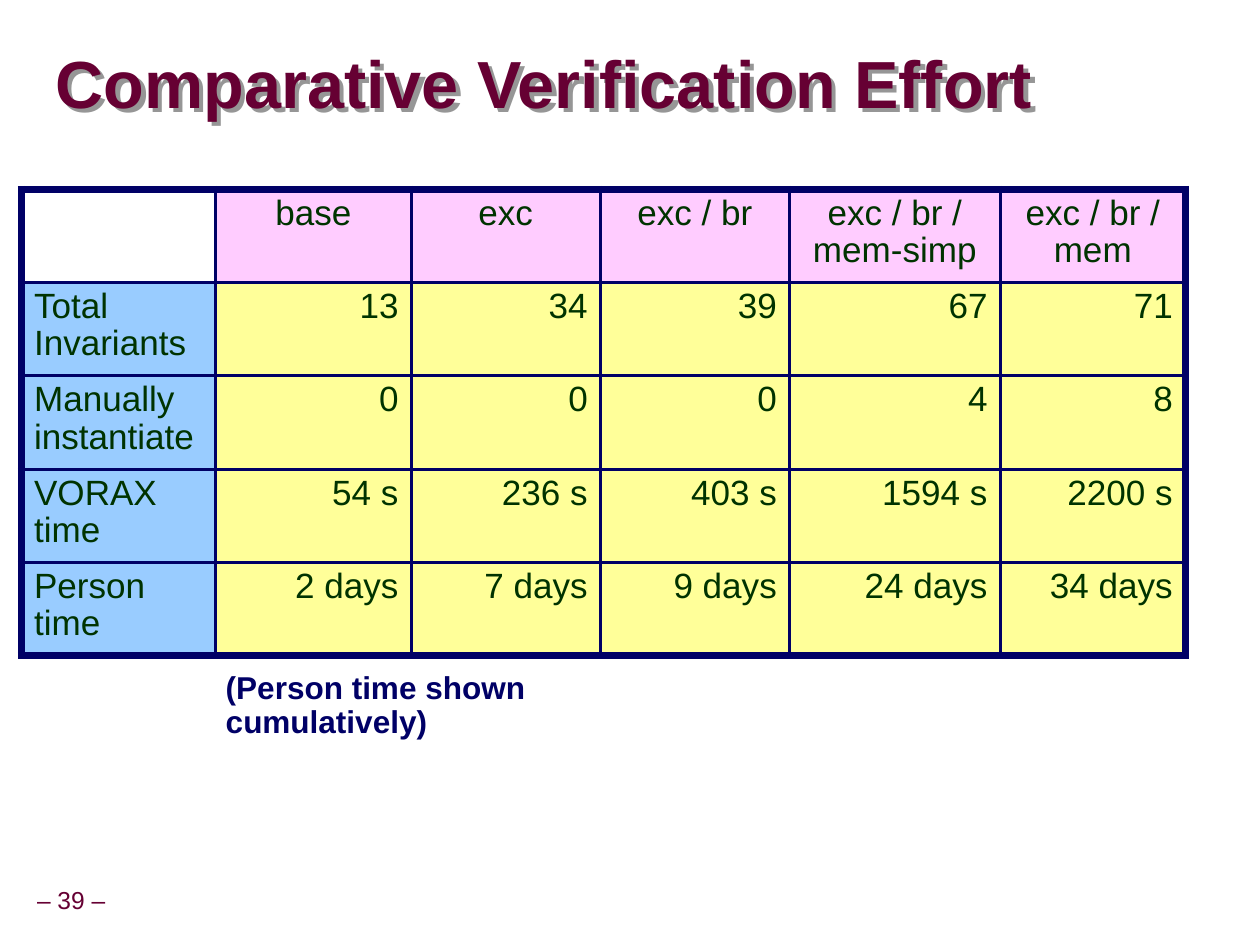
"""Build the slide comparing verification effort across processor models."""
from lxml.etree import SubElement
from pptx import Presentation
from pptx.dml.color import RGBColor
from pptx.enum.text import MSO_ANCHOR, MSO_AUTO_SIZE, PP_ALIGN
from pptx.oxml.ns import qn
from pptx.util import Inches, Pt

NAVY, MAROON, GREEN = "000066", "660033", "003300"
PINK, BLUE, YELLOW = "FFCCFF", "99CCFF", "FFFF99"
THIN, THICK = Pt(1.98), Pt(4.48)


def rgb(color):
    return RGBColor.from_string(color)


def style(p, size, color, bold=False, align=PP_ALIGN.LEFT, spacing=0.9):
    p.font.name, p.font.size, p.font.bold = "Arial", Pt(size), bold
    p.font.color.rgb = rgb(color)
    p.alignment, p.line_spacing = align, spacing


prs = Presentation()
prs.slide_width, prs.slide_height = Inches(9.99), Inches(7.49)
s = prs.slides.add_slide(prs.slide_layouts[5])

title = s.shapes.title
title.left, title.top = Inches(0.44), Inches(0.27)
title.width, title.height = Inches(9.52), Inches(0.85)
title.fill.background()
tf = title.text_frame
tf.text = "Comparative Verification Effort"
tf.vertical_anchor = MSO_ANCHOR.MIDDLE
tf.margin_left = tf.margin_right = tf.margin_top = tf.margin_bottom = 0
style(tf.paragraphs[0], 38, MAROON, bold=True, spacing=0.87)
effects = SubElement(title._element.spPr, qn("a:effectLst"))
shadow = SubElement(effects, qn("a:outerShdw"), dist=str(Inches(0.05)), dir="2700000")
SubElement(shadow, qn("a:srgbClr"), val="969696")

rows = [
    ["", "base", "exc", "exc / br", "exc / br / mem-simp", "exc / br / mem"],
    ["Total Invariants", "13", "34", "39", "67", "71"],
    ["Manually instantiate", "0", "0", "0", "4", "8"],
    ["VORAX time", "54 s", "236 s", "403 s", "1594 s", "2200 s"],
    ["Person time", "2 days", "7 days", "9 days", "24 days", "34 days"],
]
widths = [1.54, 1.55, 1.5, 1.5, 1.67, 1.47]
last_row, last_col = len(rows) - 1, len(widths) - 1
frame = s.shapes.add_table(len(rows), len(widths), Inches(0.17), Inches(1.5),
                           Inches(sum(widths)), Inches(3.7))
table = frame.table
table.first_row = table.horz_banding = False
for col, width in zip(table.columns, widths):
    col.width = Inches(width)

for i, row in enumerate(rows):
    table.rows[i].height = Inches(0.74)
    for j, text in enumerate(row):
        cell = table.cell(i, j)
        cell.text = text
        if i == 0:
            fill, align = PINK, PP_ALIGN.CENTER
        elif j == 0:
            fill, align = BLUE, PP_ALIGN.LEFT
        else:
            fill, align = YELLOW, PP_ALIGN.RIGHT
        style(cell.text_frame.paragraphs[0], 20, GREEN, align=align, spacing=0.95)
        outer = {"L": j == 0, "R": j == last_col, "T": i == 0, "B": i == last_row}
        for side, is_outer in outer.items():
            ln = SubElement(cell._tc.get_or_add_tcPr(), qn(f"a:ln{side}"),
                            w=str(THICK if is_outer else THIN))
            SubElement(SubElement(ln, qn("a:solidFill")), qn("a:srgbClr"), val=NAVY)
        if text:
            cell.fill.solid()
            cell.fill.fore_color.rgb = rgb(fill)
        else:
            cell.fill.background()

labels = [
    ("(Person time shown cumulatively)", 1.74, 5.41, 4.14, 0.37, 18, NAVY, True, PP_ALIGN.LEFT),
    ("– 39 –", -0.09, 6.99, 1.31, 0.31, 14, MAROON, False, PP_ALIGN.CENTER),
]
for text, x, y, w, h, size, color, bold, align in labels:
    tf = s.shapes.add_textbox(Inches(x), Inches(y), Inches(w), Inches(h)).text_frame
    tf.text = text
    tf.word_wrap = False
    tf.auto_size = MSO_AUTO_SIZE.SHAPE_TO_FIT_TEXT
    tf.vertical_anchor = MSO_ANCHOR.MIDDLE
    tf.margin_left = tf.margin_right = tf.margin_top = tf.margin_bottom = Inches(0.05)
    style(tf.paragraphs[0], size, color, bold, align)

prs.save("out.pptx")
